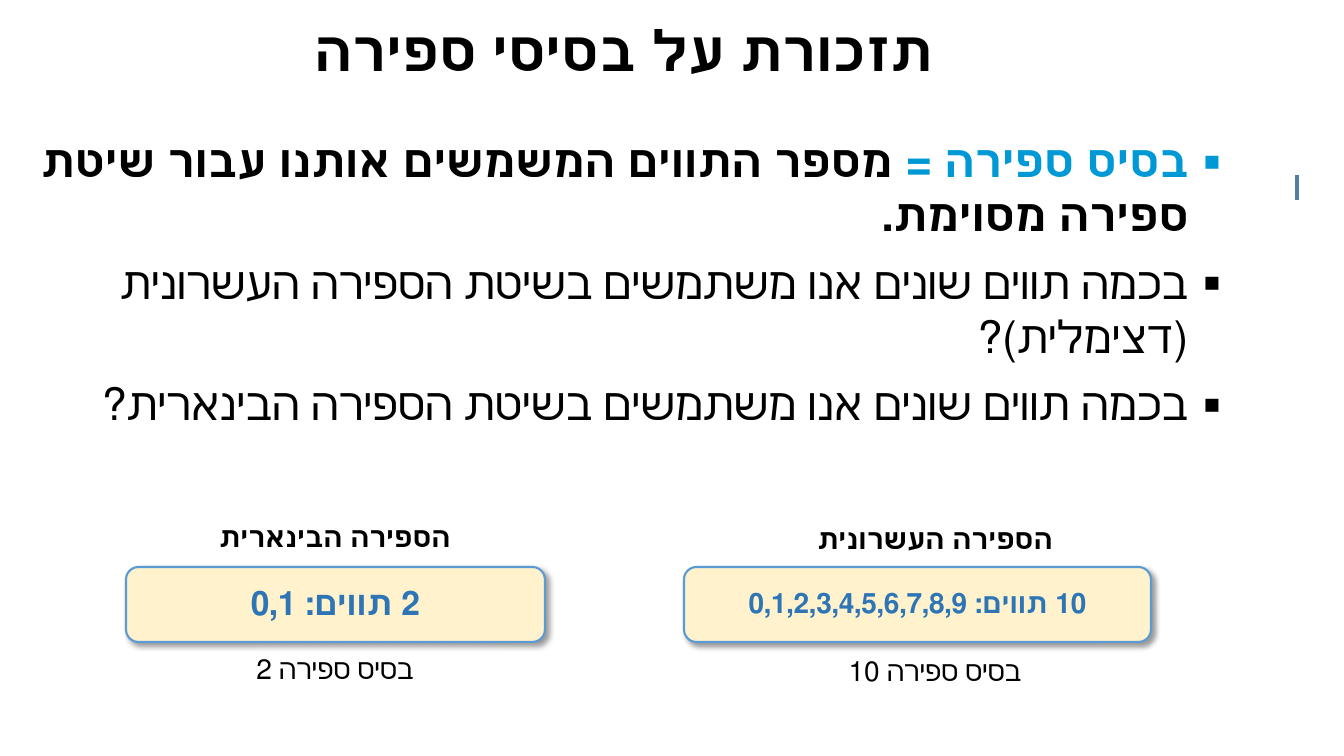
from dataclasses import dataclass
from lxml.etree import SubElement
from pptx import Presentation
from pptx.dml.color import RGBColor
from pptx.enum.shapes import MSO_CONNECTOR, MSO_SHAPE
from pptx.enum.text import MSO_ANCHOR, MSO_AUTO_SIZE, PP_ALIGN
from pptx.oxml.ns import qn
from pptx.util import Pt

# Content
TITLE = "תזכורת על בסיסי ספירה"
TERM = "בסיס ספירה = "
BULLETS = [
    [TERM, "מספר התווים המשמשים אותנו עבור שיטת ספירה מסוימת."],
    ["בכמה תווים שונים אנו משתמשים בשיטת הספירה העשרונית (דצימלית)?"],
    ["בכמה תווים שונים אנו משתמשים בשיטת הספירה הבינארית?"],
]
# heading, digits, caption, card left and width, label centre and drop, digit size
SYSTEMS = [
    ("הספירה הבינארית", "2 תווים: 0,1", "בסיס ספירה 2", 126, 419, 335, 0, 24),
    ("הספירה העשרונית", "10 תווים: 0,1,2,3,4,5,6,7,8,9", "בסיס ספירה 10", 684, 467, 935, 2, 20),
]


@dataclass(frozen=True)
class Theme:
    font: str = "Roboto"
    digit_font: str = "DejaVu Sans"
    ink: str = "000000"
    term: str = "0099D5"
    digits: str = "2E75B6"
    card: str = "FFF2CC"
    border: str = "5B9BD5"
    mark: str = "537DA3"
    title_size: int = 40
    body_size: int = 32
    label_size: int = 20


THEME = Theme()
EMU_PER_PX = 914400 / 100.8


def px(value):
    return round(value * EMU_PER_PX)


def place(shape, left, top, width, height):
    shape.left, shape.top, shape.width, shape.height = map(px, (left, top, width, height))


def set_direction(para, align):
    para.alignment = align
    para._p.get_or_add_pPr().set("rtl", "1")


def style_run(span, size, color, bold=False, font=THEME.font):
    span.font.size, span.font.bold, span.font.name = Pt(size), bold, font
    span.font.color.rgb = RGBColor.from_string(color)
    span._r.get_or_add_rPr().set("lang", "he-IL")


def write_line(shape, text, *style):
    frame = shape.text_frame
    frame.text = text
    frame.word_wrap = True
    frame.vertical_anchor = MSO_ANCHOR.MIDDLE
    frame.margin_left = frame.margin_right = px(10)
    frame.margin_top, frame.margin_bottom = 0, px(5)
    para = frame.paragraphs[0]
    set_direction(para, PP_ALIGN.CENTER)
    style_run(para.runs[0], *style)
    return para


def add_rounded(slide, left, top, width, height):
    shape = slide.shapes.add_shape(MSO_SHAPE.ROUNDED_RECTANGLE, *map(px, (left, top, width, height)))
    shape.shadow.inherit = False
    return shape


def add_label(slide, text, center, top, width, bold):
    label = add_rounded(slide, center - width / 2, top, width, 33)
    label.fill.background()
    label.line.fill.background()
    write_line(label, text, THEME.label_size, THEME.ink, bold)


def add_card(slide, text, left, width, size):
    card = add_rounded(slide, left, 567, width, 75)
    card.fill.solid()
    card.fill.fore_color.rgb = RGBColor.from_string(THEME.card)
    card.line.color.rgb = RGBColor.from_string(THEME.border)
    card.line.width = Pt(1.5)
    effects = card._element.spPr.find(qn("a:effectLst"))
    shadow = SubElement(effects, qn("a:outerShdw"), blurRad=str(Pt(4)), dist=str(Pt(3)),
                        dir="2700000", algn="tl", rotWithShape="0")
    color = SubElement(shadow, qn("a:srgbClr"), val=THEME.ink)
    SubElement(color, qn("a:alpha"), val="40000")
    write_line(card, text, size, THEME.digits, True, THEME.digit_font)


def add_bullets(body):
    frame = body.text_frame
    frame.auto_size = MSO_AUTO_SIZE.NONE
    for index, parts in enumerate(BULLETS):
        para = frame.paragraphs[0] if index == 0 else frame.add_paragraph()
        set_direction(para, PP_ALIGN.RIGHT)
        para.space_before = Pt(10 if index else 0)
        properties = para._p.get_or_add_pPr()
        properties.set("marL", str(px(32)))
        properties.set("indent", str(px(-32)))
        SubElement(properties, qn("a:buFont"), typeface=THEME.font)
        SubElement(properties, qn("a:buChar"), char="▪")
        for part in parts:
            span = para.add_run()
            span.text = part
            style_run(span, THEME.body_size, THEME.term if part == TERM else THEME.ink, index == 0)


def main():
    deck = Presentation()
    deck.slide_width, deck.slide_height = px(1344), px(756)
    slide = deck.slides.add_slide(deck.slide_layouts[1])
    title, body = slide.placeholders

    # Title and definition list
    place(title, 17, 4, 1214, 103)
    write_line(title, TITLE, THEME.title_size, THEME.ink, True).line_spacing = 0.9
    title.text_frame.auto_size = MSO_AUTO_SIZE.NONE
    place(body, 17, 128, 1214, 614)
    add_bullets(body)

    # Counting systems: heading, card, caption
    for heading, digits, caption, left, width, center, drop, size in SYSTEMS:
        add_label(slide, heading, center, 522 + drop, 335, True)
        add_card(slide, digits, left, width, size)
        add_label(slide, caption, center, 654 + drop, 249, False)

    # Side mark
    mark = slide.shapes.add_connector(MSO_CONNECTOR.STRAIGHT, px(1297), px(175), px(1297), px(200))
    mark.line.color.rgb = RGBColor.from_string(THEME.mark)
    mark.line.width = Pt(3.5)
    SubElement(mark._element.spPr, qn("a:effectLst"))

    deck.save("out.pptx")


if __name__ == "__main__":
    main()
